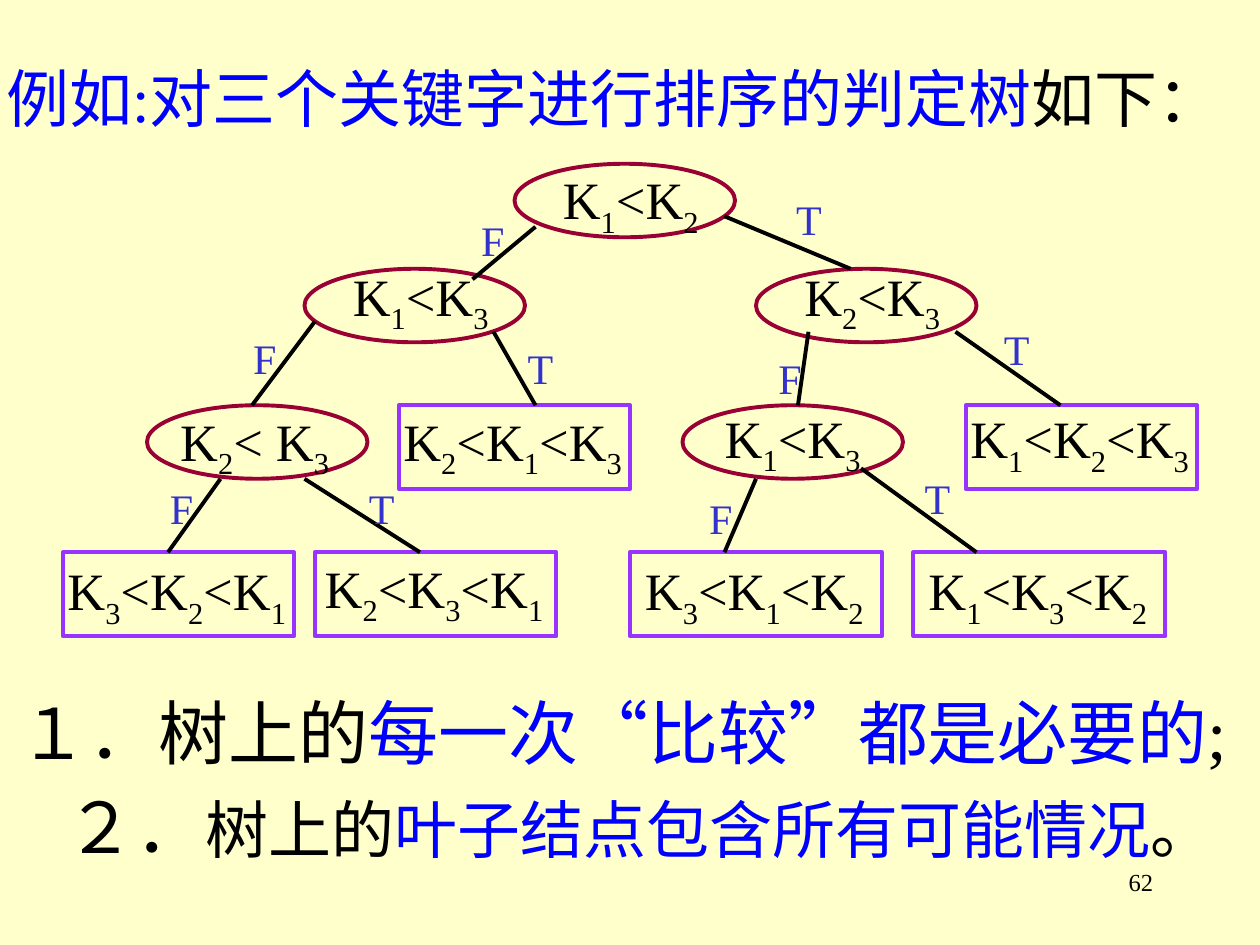
import pptx
import pptx.dml.color
import pptx.enum.shapes
import pptx.enum.text
import pptx.util
from pptx.oxml.ns import qn

RGBColor = pptx.dml.color.RGBColor
SHAPE = pptx.enum.shapes.MSO_SHAPE
ALIGN = pptx.enum.text.PP_ALIGN
ANCHOR = pptx.enum.text.MSO_ANCHOR
AUTO_SIZE = pptx.enum.text.MSO_AUTO_SIZE
Inches, Pt = pptx.util.Inches, pptx.util.Pt

CREAM = RGBColor(0xFF, 0xFF, 0xCC)
BLACK = RGBColor(0x00, 0x00, 0x00)
BLUE = RGBColor(0x00, 0x00, 0xFF)
INDIGO = RGBColor(0x33, 0x33, 0xCC)
CRIMSON = RGBColor(0x99, 0x00, 0x33)
VIOLET = RGBColor(0x99, 0x33, 0xFF)
FONT = "Times New Roman"

# Tree grid: 120 columns across the slide, rows of the same size
UNIT = 10 / 120
TREE_TOP = 1.3
LEVELS = (0, 10, 23, 37)
TEST_SIZE = (21, 7)
RESULT_HEIGHT = 8

# Tests: label, column, level, label shift in inches (None: text inside)
TESTS = [
    ("K1<K2", 49, 0, (0.05, -0.02)),
    ("K1<K3", 29, 1, (0.05, -0.09)),
    ("K2<K3", 72, 1, (0.05, -0.09)),
    ("K2< K3", 14, 2, (-0.02, -0.02)),
    ("K1<K3", 65, 2, None),
]
# Results: label, column, width, level, label shift down in inches
RESULTS = [
    ("K2<K1<K3", 38, 22, 2, -0.02),
    ("K1<K2<K3", 92, 22, 2, -0.04),
    ("K3<K2<K1", 6, 22, 3, 0),
    ("K2<K3<K1", 30, 23, 3, -0.02),
    ("K3<K1<K2", 60, 24, 3, 0),
    ("K1<K3<K2", 87, 24, 3, 0),
]
# Branches: answer, start and end on the grid, answer place in inches
BRANCHES = [
    ("F", (51, 6), (45, 11), (3.72, 1.65)),
    ("T", (69, 5), (81, 10), (6.22, 1.49)),
    ("F", (30, 15), (24, 23), (1.91, 2.59)),
    ("T", (47, 16), (51, 23), (4.09, 2.67)),
    ("F", (77, 16), (76, 23), (6.08, 2.75)),
    ("T", (91, 16), (101, 23), (7.87, 2.52)),
    ("F", (21, 30), (16, 37), (1.25, 3.78)),
    ("T", (29, 30), (40, 37), (2.83, 3.78)),
    ("F", (72, 30), (69, 37), (5.53, 3.86)),
    ("T", (82, 29), (93, 37), (7.24, 3.7)),
]


def grid_x(column):
    return column * UNIT


def grid_y(row):
    return TREE_TOP + row * UNIT


def add_span(para, text, size, color, subscript=False):
    span = para.add_run()
    span.text = text
    span.font.name = FONT
    span.font.size = Pt(size)
    span.font.bold = False
    span.font.color.rgb = color
    if subscript:
        span._r.get_or_add_rPr().set("baseline", "-25000")


def add_formula(para, label):
    """Write a comparison of keys with each digit as a subscript."""
    parts = label
    for digit in "123":
        parts = parts.replace(digit, f"|{digit}|")
    for part in filter(None, parts.split("|")):
        add_span(para, part, 30, BLACK, part.isdigit())


def add_box(page, left, top, width, height, align=ALIGN.LEFT):
    box = page.shapes.add_textbox(Inches(left), Inches(top), Inches(width), Inches(height))
    box.text_frame.word_wrap = False
    box.text_frame.auto_size = AUTO_SIZE.SHAPE_TO_FIT_TEXT
    para = box.text_frame.paragraphs[0]
    para.alignment = align
    return para


def add_outline(page, kind, color, left, top, width, height):
    shape = page.shapes.add_shape(kind, Inches(left), Inches(top), Inches(width), Inches(height))
    shape.shadow.inherit = False
    shape.fill.background()
    shape.line.color.rgb = color
    shape.line.width = Pt(2.25)
    return shape


def add_node(page, kind, color, label, column, row, width, height, shift):
    left, top = grid_x(column), grid_y(row)
    shape = add_outline(page, kind, color, left, top, width * UNIT, height * UNIT)
    if shift is None:
        frame = shape.text_frame
        frame.word_wrap = False
        frame.vertical_anchor = ANCHOR.MIDDLE
        para = frame.paragraphs[0]
        para.alignment = ALIGN.CENTER
    else:
        label_width = 1.96 if label.count("<") == 2 else 1.38 if " " in label else 1.28
        middle = left + width * UNIT / 2 + shift[0]
        para = add_box(page, middle - label_width / 2, top + shift[1], label_width, 0.67)
    add_formula(para, label)


def add_branch(page, answer, start, end, place):
    ends = [Inches(f(value)) for point in (start, end)
            for f, value in zip((grid_x, grid_y), point)]
    line = page.shapes.add_connector(pptx.enum.shapes.MSO_CONNECTOR.STRAIGHT, *ends)
    line.line.color.rgb = BLACK
    line.line.width = Pt(2.25)
    properties = line._element.spPr
    properties.append(properties.makeelement(qn("a:effectLst"), {}))
    para = add_box(page, *place, 0.4 if answer == "T" else 0.38, 0.5, ALIGN.CENTER)
    add_span(para, answer, 24, INDIGO)


def place_holder(holder, left, top, width, height, inset):
    holder.left, holder.top = Inches(left), Inches(top)
    holder.width, holder.height = Inches(width), Inches(height)
    frame = holder.text_frame
    frame.auto_size = AUTO_SIZE.NONE
    frame.word_wrap = True
    frame.vertical_anchor = ANCHOR.TOP
    frame.margin_left, frame.margin_right = Inches(inset), 0
    return frame


def add_title(page):
    frame = place_holder(page.shapes.title, 0, 0.42, 10, 0.7, 0.05)
    para = frame.paragraphs[0]
    para.alignment = ALIGN.LEFT
    add_span(para, "例如:对三个关键字进行排序的判定树", 36, BLUE)
    add_span(para, "如下：", 36, BLACK)


def add_conclusions(page):
    frame = place_holder(page.placeholders[1], 0.05, 5.42, 9.95, 1.52, 0.1)
    lines = [
        (0, [("１．树上的", 40, BLACK), ("每一次“比较”都是必要的", 40, BLUE),
             (";", 40, BLACK)]),
        (0.37, [("２．", 40, BLACK), ("树上的", 36, BLACK),
                ("叶子结点包含所有可能情况", 36, BLUE), ("。", 36, BLACK)]),
    ]
    for number, (indent, spans) in enumerate(lines):
        para = frame.add_paragraph() if number else frame.paragraphs[0]
        para.space_before = Pt(6 if number else 0)
        properties = para._p.get_or_add_pPr()
        properties.set("marL", str(Inches(indent)))
        properties.set("indent", "0")
        properties.append(properties.makeelement(qn("a:buNone"), {}))
        for span in spans:
            add_span(para, *span)


def main():
    deck = pptx.Presentation()
    deck.slide_width, deck.slide_height = Inches(10), Inches(7.5)
    page = deck.slides.add_slide(deck.slide_layouts[1])
    page.background.fill.solid()
    page.background.fill.fore_color.rgb = CREAM
    add_title(page)

    # Decision tree
    for label, column, level, shift in TESTS:
        add_node(page, SHAPE.OVAL, CRIMSON, label, column, LEVELS[level], *TEST_SIZE, shift)
    for label, column, width, level, drop in RESULTS:
        add_node(page, SHAPE.RECTANGLE, VIOLET, label, column, LEVELS[level],
                 width, RESULT_HEIGHT, (0, drop))
    for branch in BRANCHES:
        add_branch(page, *branch)

    # Conclusions and page number
    add_conclusions(page)
    number = add_box(page, 7.17, 6.83, 2.08, 0.5, ALIGN.RIGHT)
    add_span(number, "62", 14, BLACK)
    # The page number keeps its full width, so that it stays at the right
    frame = page.shapes[-1].text_frame
    frame.auto_size = AUTO_SIZE.NONE
    frame.word_wrap = True
    deck.save("out.pptx")


if __name__ == "__main__":
    main()
